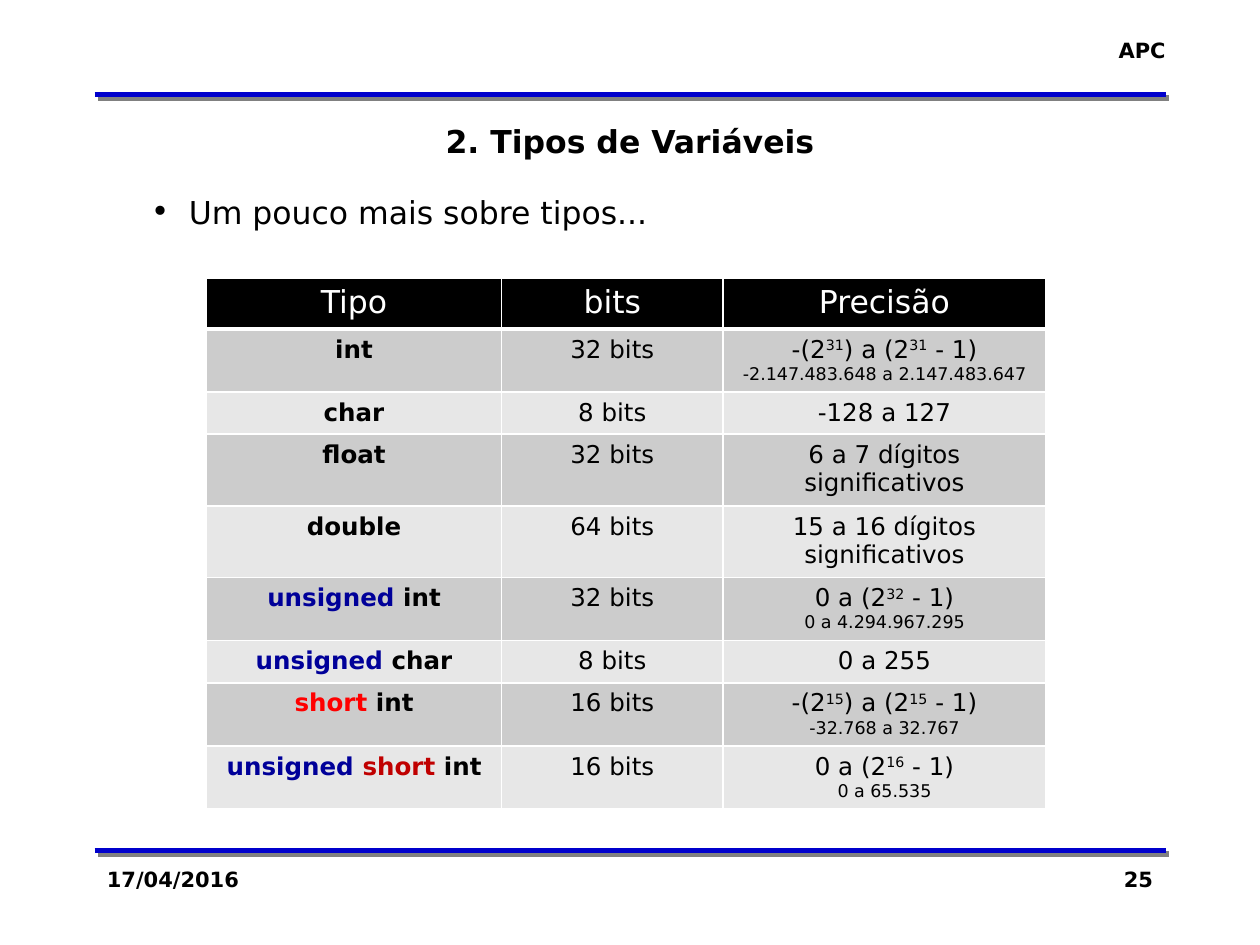
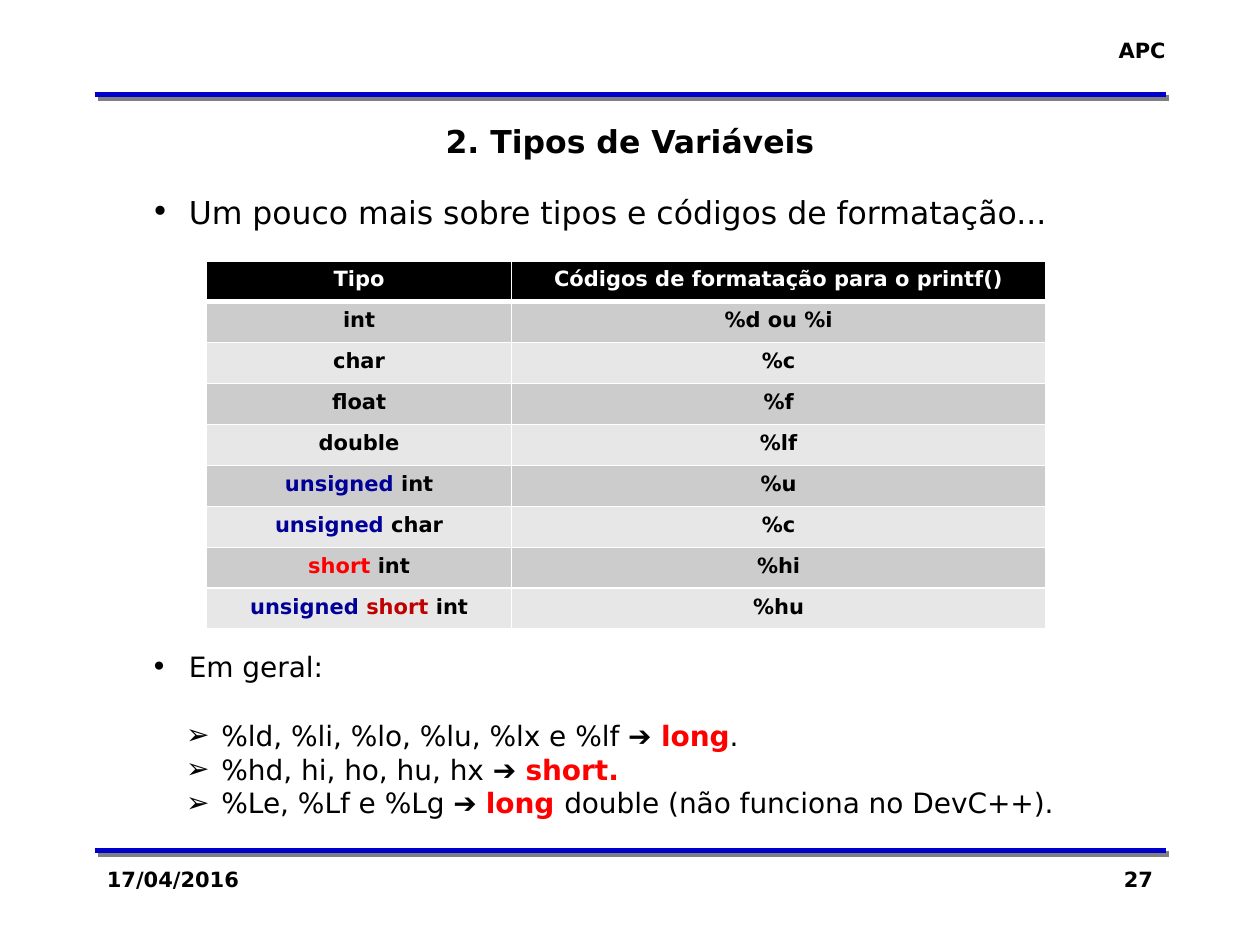
from dataclasses import dataclass
from itertools import chain

from lxml.etree import SubElement
from pptx import Presentation
from pptx.dml.color import RGBColor as Rgb
from pptx.enum.shapes import MSO_CONNECTOR as Connector
from pptx.enum.text import PP_ALIGN as Align
from pptx.oxml.ns import qn
from pptx.util import Inches, Pt


@dataclass(frozen=True)
class Theme:
    font: str = "DejaVu Sans"
    ink: str = "000000"
    paper: str = "FFFFFF"
    rule: str = "0000CC"
    shadow: str = "808080"
    bands: tuple = ("CCCCCC", "E7E7E7")
    unsigned: str = "000099"
    short: str = "FF0000"
    dark_short: str = "C00000"
    title: int = 18
    lead: int = 18
    list_text: int = 16
    cell: int = 14
    small: int = 12
    detail: int = 10
    thin: int = 1
    thick: int = 3


THEME = Theme()
DATE = "17/04/2016"
BOLD = {"bold": True}
RAISED = {"raised": True}
DETAIL = {"size": THEME.detail}
ACCENT = {"bold": True, "color": THEME.short}
UNSIGNED = ("unsigned ", {"color": THEME.unsigned})

DOT = {"glyph": "•", "margin": 0.3, "hang": 0.3}
ARROW = {"glyph": "➢", "margin": 0.56, "hang": 0.28}

TYPE_NAMES = [
    ["int"],
    ["char"],
    ["float"],
    ["double"],
    [UNSIGNED, "int"],
    [UNSIGNED, "char"],
    [("short ", {"color": THEME.short}), "int"],
    [UNSIGNED, ("short ", {"color": THEME.dark_short}), "int"],
]
FORMAT_CODES = ["%d ou %i", "%c", "%f", "%lf", "%u", "%c", "%hi", "%hu"]


def signed_range(power, limits):
    """Two paragraphs: the range as powers of two, then its limits."""
    return [["-(2", (power, RAISED), ") a (2", (power, RAISED), " - 1)"],
            [(limits, DETAIL)]]


def unsigned_range(power, limits):
    return [["0 a (2", (power, RAISED), " - 1)"], [(limits, DETAIL)]]


SIZES = ["32 bits", "8 bits", "32 bits", "64 bits",
         "32 bits", "8 bits", "16 bits", "16 bits"]
PRECISIONS = [
    signed_range("31", "-2.147.483.648 a 2.147.483.647"),
    [["-128 a 127"]],
    [["6 a 7 dígitos significativos"]],
    [["15 a 16 dígitos significativos"]],
    unsigned_range("32", "0 a 4.294.967.295"),
    [["0 a 255"]],
    signed_range("15", "-32.768 a 32.767"),
    unsigned_range("16", "0 a 65.535"),
]


def add_span(para, text, look):
    span = para.add_run()
    span.text = text
    values = {"name": THEME.font, "size": THEME.small, "bold": False,
              "color": THEME.ink, "raised": False, **look}
    span.font.color.rgb = Rgb.from_string(values.pop("color"))
    if values.pop("raised"):
        span._r.get_or_add_rPr().set("baseline", "30000")
    values["size"] = Pt(values["size"])
    for name, value in values.items():
        setattr(span.font, name, value)


def set_bullet(para, glyph, margin, hang):
    props = para._p.get_or_add_pPr()
    props.set("marL", str(Inches(margin)))
    props.set("indent", str(-Inches(hang)))
    SubElement(props, qn("a:buFont"), typeface=THEME.font)
    SubElement(props, qn("a:buChar"), char=glyph)


def write(frame, paragraphs, look, align=Align.LEFT, bullets=(), gaps=()):
    """Fill a frame; each paragraph is a list of texts or (text, look) pairs."""
    for index, spans in enumerate(paragraphs):
        para = frame.add_paragraph() if index else frame.paragraphs[0]
        para.alignment = align
        if index < len(gaps):
            para.space_before = Pt(gaps[index])
        if index < len(bullets):
            set_bullet(para, **bullets[index])
        for span in spans:
            text, change = (span, {}) if isinstance(span, str) else span
            add_span(para, text, {**look, **change})


def add_text(page, area, paragraphs, look, **layout):
    box = page.shapes.add_textbox(*map(Inches, area))
    box.text_frame.word_wrap = True
    write(box.text_frame, paragraphs, look, **layout)


def add_rule(page, top):
    """Draw a full-width line with a hard grey shadow."""
    rule = page.shapes.add_connector(
        Connector.STRAIGHT, *map(Inches, (0.75, top, 9.25, top)))
    rule.line.color.rgb = Rgb.from_string(THEME.rule)
    rule.line.width = Pt(THEME.thick)
    effects = SubElement(rule._element.spPr, qn("a:effectLst"))
    shadow = SubElement(effects, qn("a:outerShdw"), dist=str(Pt(2.8)),
                        dir="2700000", algn="ctr", rotWithShape="0")
    SubElement(shadow, qn("a:srgbClr"), val=THEME.shadow)


def add_page(deck, number):
    """Add a blank slide with the shared rules, header, title and footer."""
    page = deck.slides.add_slide(deck.slide_layouts[6])
    for top in (0.75, 6.75):
        add_rule(page, top)
    labels = [
        ((8.35, 0.25, 1, 0.3), "APC", THEME.small, Align.RIGHT),
        ((0.75, 0.92, 8.5, 0.4), "2. Tipos de Variáveis", THEME.title, Align.CENTER),
        ((0.75, 6.83, 2.08, 0.5), DATE, THEME.small, Align.LEFT),
        ((7.17, 6.83, 2.08, 0.5), number, THEME.small, Align.RIGHT),
    ]
    for area, text, size, align in labels:
        add_text(page, area, [[text]], {"size": size, **BOLD}, align=align)
    return page


def add_lead(page, text):
    add_text(page, (1.1, 1.48, 7.9, 0.4), [[text]], {"size": THEME.lead},
             bullets=[DOT])


def set_borders(cell, top, bottom):
    props = cell._tc.get_or_add_tcPr()
    widths = {"L": THEME.thin, "R": THEME.thin, "T": top, "B": bottom}
    for side, width in widths.items():
        border = SubElement(props, qn(f"a:ln{side}"), w=str(Pt(width)))
        fill = SubElement(border, qn("a:solidFill"))
        SubElement(fill, qn("a:srgbClr"), val=THEME.paper)


def add_type_table(page, top, widths, heights, header, header_look, rows, looks):
    """Add a banded table; looks holds one text look per column."""
    area = (1.64, top, sum(widths), sum(heights))
    table = page.shapes.add_table(len(heights), len(widths),
                                  *map(Inches, area)).table
    for column, width in zip(table.columns, widths):
        column.width = Inches(width)
    for row, height in zip(table.rows, heights):
        row.height = Inches(height)
    header_row = [[[label]] for label in header]
    header_looks = [{"color": THEME.paper, **header_look}] * len(header)
    for index, contents in enumerate(chain([header_row], rows)):
        fill = THEME.bands[(index - 1) % 2] if index else THEME.ink
        row_looks = looks if index else header_looks
        for column, (paragraphs, look) in enumerate(zip(contents, row_looks)):
            cell = table.cell(index, column)
            set_borders(cell, THEME.thick if index == 1 else THEME.thin,
                        THEME.thin if index else THEME.thick)
            cell.fill.solid()
            cell.fill.fore_color.rgb = Rgb.from_string(fill)
            write(cell.text_frame, paragraphs, look, align=Align.CENTER)


def build_precision_page(deck):
    page = add_page(deck, "25")
    add_lead(page, "Um pouco mais sobre tipos...")
    rows = [([name], [[size]], precision)
            for name, size, precision in zip(TYPE_NAMES, SIZES, PRECISIONS)]
    plain = {"size": THEME.cell}
    add_type_table(
        page, 2.21, (2.34, 1.76, 2.56),
        (0.4, 0.5, 0.33, 0.57, 0.57, 0.5, 0.33, 0.5, 0.5),
        ("Tipo", "bits", "Precisão"), {"size": THEME.lead},
        rows, [{**plain, **BOLD}, plain, plain])


def build_format_page(deck):
    page = add_page(deck, "27")
    add_lead(page, "Um pouco mais sobre tipos e códigos de formatação...")
    rows = [([name], [[code]]) for name, code in zip(TYPE_NAMES, FORMAT_CODES)]
    add_type_table(
        page, 2.07, (2.42, 4.24), [0.325] * (len(rows) + 1),
        ("Tipo", "Códigos de formatação para o printf()"), BOLD,
        rows, [BOLD, BOLD])
    notes = [
        ["Em geral:"],
        ["%ld, %li, %lo, %lu, %lx e %lf ➔ ", ("long", ACCENT), "."],
        ["%hd, hi, ho, hu, hx ➔ ", ("short.", ACCENT)],
        ["%Le, %Lf e %Lg ➔ ", ("long ", ACCENT),
         "double (não funciona no DevC++)."],
    ]
    add_text(page, (1.1, 5.11, 7.9, 1.5), notes, {"size": THEME.list_text},
             bullets=[DOT] + [ARROW] * 3, gaps=(0, 20))


def main():
    deck = Presentation()
    deck.slide_width, deck.slide_height = Inches(10), Inches(7.5)
    build_precision_page(deck)
    build_format_page(deck)
    deck.save("out.pptx")


if __name__ == "__main__":
    main()
